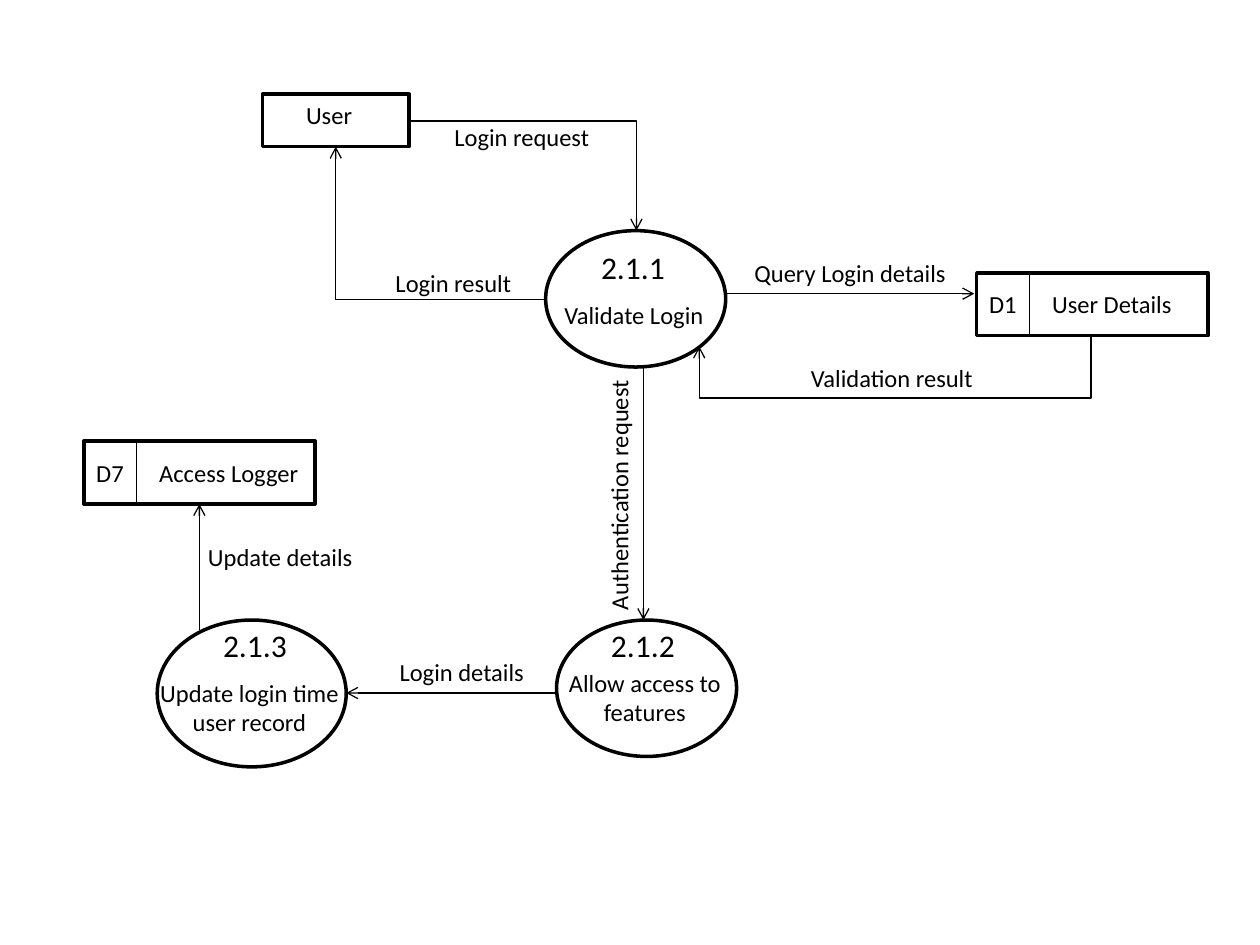
from lxml import etree
from pptx import Presentation
from pptx.dml.color import RGBColor
from pptx.enum.shapes import MSO_CONNECTOR, MSO_SHAPE
from pptx.enum.text import PP_ALIGN
from pptx.oxml.ns import qn
from pptx.util import Cm, Pt

RECT, OVAL = MSO_SHAPE.RECTANGLE, MSO_SHAPE.OVAL
STRAIGHT, ELBOW = MSO_CONNECTOR.STRAIGHT, MSO_CONNECTOR.ELBOW
LEFT, CENTER = PP_ALIGN.LEFT, PP_ALIGN.CENTER
COLORS = {"ink": "000000"}
FONT = "Calibri"

# Content, lengths in cm
# number, oval box, number centre and top, label, label centre and top
PROCESSES = [
    ("2.1.1", (11, 4.65, 3.63, 2.75), (12.76, 4.87), "Validate Login", (12.78, 5.92)),
    ("2.1.2", (11.22, 12.5, 3.63, 2.75), (12.96, 12.5), "Allow access to features", (13, 13.34)),
    ("2.1.3", (3.17, 12.5, 3.81, 2.96), (5.14, 12.5), "Update login time user record", (5.03, 13.54)),
]
STORES = [("D1", "User Details", 19.69, 5.5), ("D7", "Access Logger", 1.69, 8.89)]
STORE_W, STORE_H, CODE_W = 4.66, 1.27, 1.06
ENTITY = ("User", (5.29, 1.9, 2.96, 1.06))
# text, centre, top, rotation
FLOW_LABELS = [
    ("Query Login details", 17.14, 5.08, 0),
    ("Validation result", 17.98, 7.19, 0),
    ("Login request", 10.52, 2.34, 0),
    ("Login result", 9.14, 5.28, 0),
    ("Login details", 9.31, 13.13, 0),
    ("Update details", 5.65, 10.8, 0),
    ("Authentication request", 12.48, 9.55, 270),
]
STRAIGHT_FLOWS = [
    (14.63, 5.92, 19.64, 5.92),
    (12.97, 7.37, 12.97, 12.5),
    (11.22, 13.97, 6.98, 13.97),
    (4.02, 12.7, 4.02, 10.16),
]
CORNER_FLOWS = [(8.25, 2.44, 12.83, 4.65), (11, 6.04, 6.77, 2.96)]
# Frame of the return flow before its quarter turn, and its bend
RETURN_FLOW, RETURN_BEND = (17.93, 2.92, 18.16, 10.82), 553000

prs = Presentation()
prs.slide_width, prs.slide_height = Cm(25.4), Cm(19.05)
s = prs.slides.add_slide(prs.slide_layouts[6])


def ink(line, width):
    line.color.rgb = RGBColor.from_string(COLORS["ink"])
    line.width = Pt(width)


def add_text(text, x, y, w, h=0.86, size=14, align=CENTER, rotation=0):
    sp = s.shapes.add_textbox(Cm(x), Cm(y), Cm(w), Cm(h))
    sp.rotation = rotation
    tf = sp.text_frame
    tf.word_wrap = True
    p = tf.paragraphs[0]
    p.alignment = align
    r = p.add_run()
    r.text = text
    r.font.size, r.font.name = Pt(size), FONT
    r.font.color.rgb = RGBColor.from_string(COLORS["ink"])


def add_outline(kind, box):
    sp = s.shapes.add_shape(kind, *map(Cm, box))
    sp.shadow.inherit = False
    sp.fill.background()
    ink(sp.line, 2)


def add_line(points, kind=STRAIGHT, arrow=True):
    cx = s.shapes.add_connector(kind, *map(Cm, points))
    ink(cx.line, 0.75)
    sp_pr = cx._element.spPr
    if arrow:
        etree.SubElement(sp_pr.find(qn("a:ln")), qn("a:tailEnd"), type="arrow")
    etree.SubElement(sp_pr, qn("a:effectLst"))
    return sp_pr


# Processes
for number, box, (num_x, num_y), label, (label_x, label_y) in PROCESSES:
    add_outline(OVAL, box)
    add_text(number, num_x - 1, num_y, 2, 1.02, size=18)
    add_text(label, label_x - 2.21, label_y, 4.42)

# Data stores
for code, name, x, y in STORES:
    add_outline(RECT, (x, y, STORE_W, STORE_H))
    add_line((x + CODE_W, y, x + CODE_W, y + STORE_H), arrow=False)
    add_text(code, x, y + 0.21, 1.3, align=LEFT)
    add_text(name, x + 1.27, y + 0.21, 3.6, align=LEFT)

# External entity
name, box = ENTITY
add_outline(RECT, box)
add_text(name, box[0] + 0.63, box[1], 2, align=LEFT)

# Flows
for points in STRAIGHT_FLOWS:
    add_line(points)
for points in CORNER_FLOWS:
    add_line(points, ELBOW).find(qn("a:prstGeom")).set("prst", "bentConnector2")
sp_pr = add_line(RETURN_FLOW, ELBOW)
sp_pr.find(qn("a:xfrm")).set("rot", str(90 * 60000))
adjustments = sp_pr.find(qn("a:prstGeom")).find(qn("a:avLst"))
etree.SubElement(adjustments, qn("a:gd"), name="adj1", fmla=f"val {RETURN_BEND}")

for text, center, top, rotation in FLOW_LABELS:
    w = 5.72 if rotation else 5.08
    add_text(text, center - w / 2, top, w, rotation=rotation)

prs.save("out.pptx")
